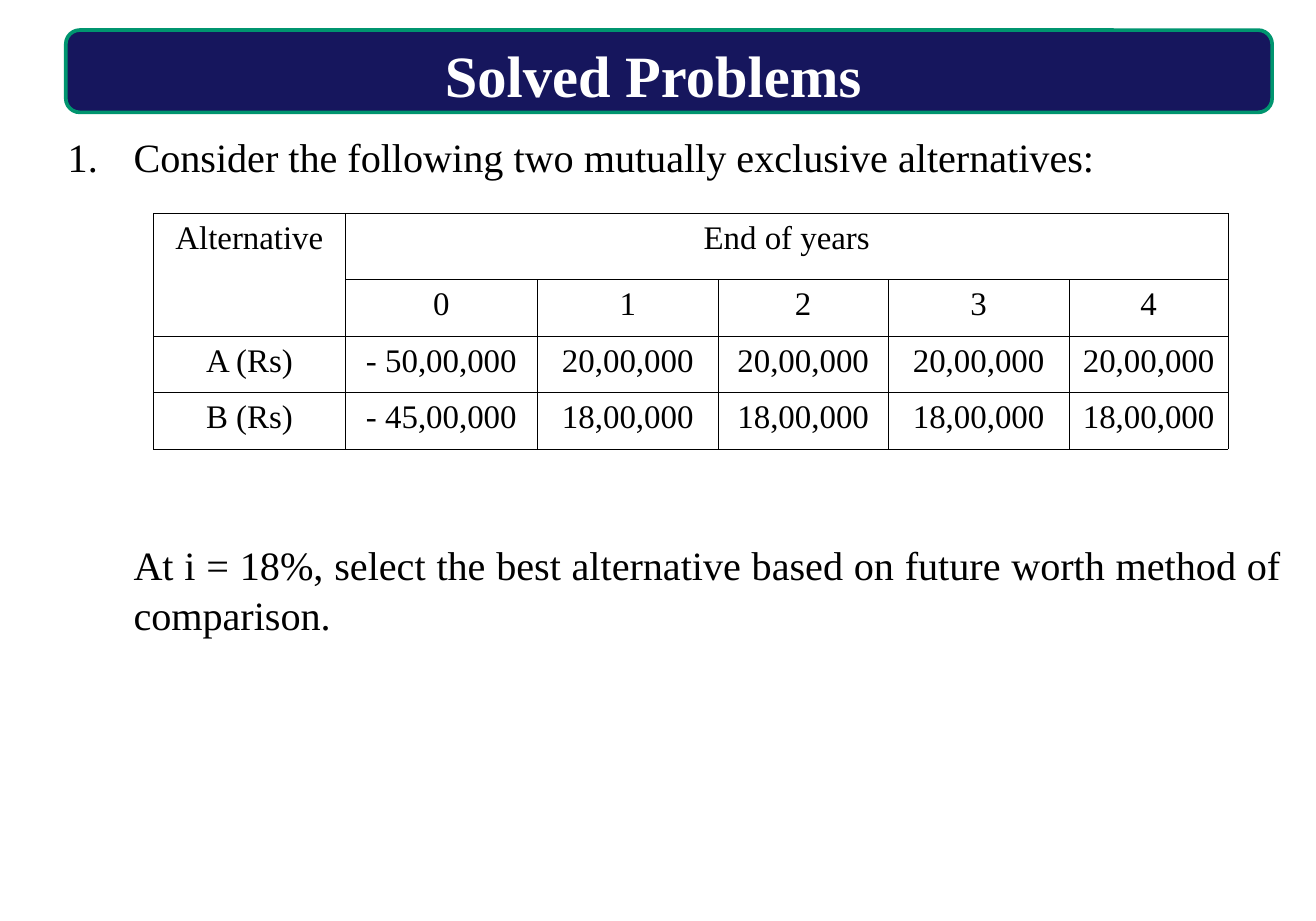
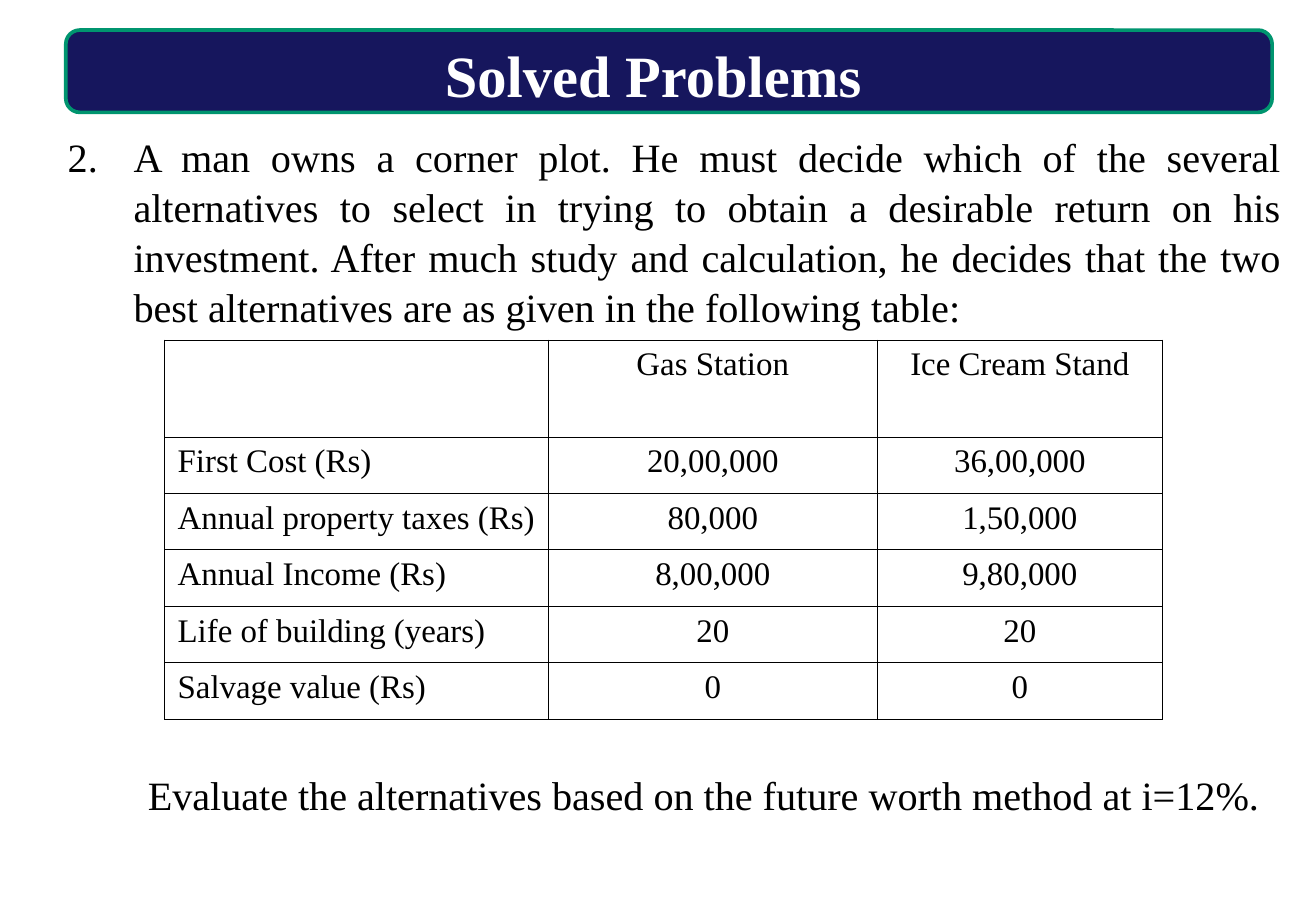
from dataclasses import dataclass
from typing import Optional

from lxml.etree import SubElement
from pptx import Presentation
from pptx.dml.color import RGBColor
from pptx.enum.shapes import MSO_SHAPE as Shape
from pptx.enum.text import PP_ALIGN as Align
from pptx.oxml.ns import qn
from pptx.util import Emu, Inches, Pt

COLORS = {"bar": "16165D", "edge": "00956F", "title": "FFFFFF", "ink": "000000"}
FONT = "Times New Roman"
WIDTH, HEIGHT = Inches(10), Inches(7)
GRID_COLUMNS = 120
UNIT = WIDTH / GRID_COLUMNS
BORDER_WIDTH = Pt(0.45)
HANGING = 6


@dataclass(frozen=True)
class Box:
    x: float
    y: float
    w: float
    h: float


@dataclass(frozen=True)
class Grid:
    x: float
    y: float
    columns: list[float]
    rows: list[float]
    cells: list[list[Optional[str]]]
    merges: list[tuple[int, int, int, int]]
    label_align: Align


@dataclass(frozen=True)
class Problem:
    number: int
    question: str
    task: str
    task_indent: float
    task_gap: float
    grid: Grid


BAR = Box(6, 2.75, 110, 7.5)
TITLE = Box(9.5, 3, 101.5, 5.65)
BODY = Box(5, 11.3, 113, 68.7)
ROW = 5.15

PROBLEMS = [
    Problem(
        1,
        "Consider the following two mutually exclusive alternatives:",
        "At i = 18%, select the best alternative based on future worth method of comparison.",
        HANGING,
        184,
        Grid(
            14, 19.5, [17.5, 17.5, 16.5, 15.5, 16.5, 14.5], [6] + [ROW] * 3,
            [
                ["Alternative", "End of years"] + [None] * 4,
                [None, "0", "1", "2", "3", "4"],
                ["A (Rs)", "- 50,00,000"] + ["20,00,000"] * 4,
                ["B (Rs)", "- 45,00,000"] + ["18,00,000"] * 4,
            ],
            [(0, 0, 1, 0), (0, 1, 0, 5)],
            Align.CENTER,
        ),
    ),
    Problem(
        2,
        "A man owns a corner plot. He must decide which of the several alternatives to "
        "select in trying to obtain a desirable return on his investment. After much study "
        "and calculation, he decides that the two best alternatives are as given in the "
        "following table:",
        "Evaluate the alternatives based on the future worth method at i=12%.",
        7.3,
        227.5,
        Grid(
            15, 31, [35, 30, 26], [8.85] + [ROW] * 5,
            [
                [None, "Gas Station", "Ice Cream Stand"],
                ["First Cost (Rs)", "20,00,000", "36,00,000"],
                ["Annual property taxes (Rs)", "80,000", "1,50,000"],
                ["Annual Income (Rs)", "8,00,000", "9,80,000"],
                ["Life of building (years)", "20", "20"],
                ["Salvage value (Rs)", "0", "0"],
            ],
            [],
            Align.LEFT,
        ),
    ),
]


def units(n: float) -> Emu:
    return Emu(round(n * UNIT))


def place(box: Box) -> list[Emu]:
    return [units(n) for n in (box.x, box.y, box.w, box.h)]


def rgb(name: str) -> RGBColor:
    return RGBColor.from_string(COLORS[name])


def add_run(p, text: str, size: float, color: str = "ink", bold: bool = False) -> None:
    r = p.add_run()
    r.text = text
    r.font.name = FONT
    r.font.size = Pt(size)
    r.font.bold = bold
    r.font.color.rgb = rgb(color)


def add_text_frame(s, box: Box):
    tf = s.shapes.add_textbox(*place(box)).text_frame
    tf.word_wrap = True
    return tf


def add_title(s, text: str) -> None:
    sp = s.shapes.add_shape(Shape.ROUNDED_RECTANGLE, *place(BAR))
    sp.shadow.inherit = False
    sp.adjustments[0] = 0.17
    sp.fill.solid()
    sp.fill.fore_color.rgb = rgb("bar")
    sp.line.color.rgb = rgb("edge")
    sp.line.width = Pt(2)
    p = add_text_frame(s, TITLE).paragraphs[0]
    p.alignment = Align.CENTER
    add_run(p, text, 32, "title", True)


def style_body(p, indent: float, hanging: float = 0) -> None:
    p.alignment = Align.JUSTIFY
    p.line_spacing = 1.045
    p.space_after = Pt(12)
    pPr = p._p.get_or_add_pPr()
    pPr.set("marL", str(units(indent)))
    pPr.set("indent", str(-units(hanging)))


def add_body(s, problem: Problem) -> None:
    tf = add_text_frame(s, BODY)
    p = tf.paragraphs[0]
    style_body(p, HANGING, HANGING)
    SubElement(p._p.get_or_add_pPr(), qn("a:buAutoNum"),
               type="arabicPeriod", startAt=str(problem.number))
    add_run(p, problem.question, 22)
    p = tf.add_paragraph()
    style_body(p, problem.task_indent)
    p.space_before = Pt(problem.task_gap)
    add_run(p, problem.task, 22)


def outline_cell(cell) -> None:
    tcPr = cell._tc.get_or_add_tcPr()
    for side in ("lnL", "lnR", "lnT", "lnB"):
        ln = SubElement(tcPr, qn(f"a:{side}"), w=str(BORDER_WIDTH))
        fill = SubElement(ln, qn("a:solidFill"))
        SubElement(fill, qn("a:srgbClr"), val=COLORS["ink"])
    cell.fill.background()


def add_grid(s, grid: Grid) -> None:
    box = Box(grid.x, grid.y, sum(grid.columns), sum(grid.rows))
    table = s.shapes.add_table(len(grid.rows), len(grid.columns), *place(box)).table
    table.first_row = table.horz_banding = False
    for column, width in zip(table.columns, grid.columns):
        column.width = units(width)
    for row, height in zip(table.rows, grid.rows):
        row.height = units(height)
    for top, left, bottom, right in grid.merges:
        table.cell(top, left).merge(table.cell(bottom, right))
    for i, texts in enumerate(grid.cells):
        for j, text in enumerate(texts):
            cell = table.cell(i, j)
            outline_cell(cell)
            if text is not None:
                p = cell.text_frame.paragraphs[0]
                p.alignment = Align.CENTER if j else grid.label_align
                add_run(p, text, 18)


def main() -> None:
    prs = Presentation()
    prs.slide_width, prs.slide_height = WIDTH, HEIGHT
    for problem in PROBLEMS:
        s = prs.slides.add_slide(prs.slide_layouts[6])
        add_title(s, "Solved Problems ")
        add_body(s, problem)
        add_grid(s, problem.grid)
    prs.save("out.pptx")


if __name__ == "__main__":
    main()
